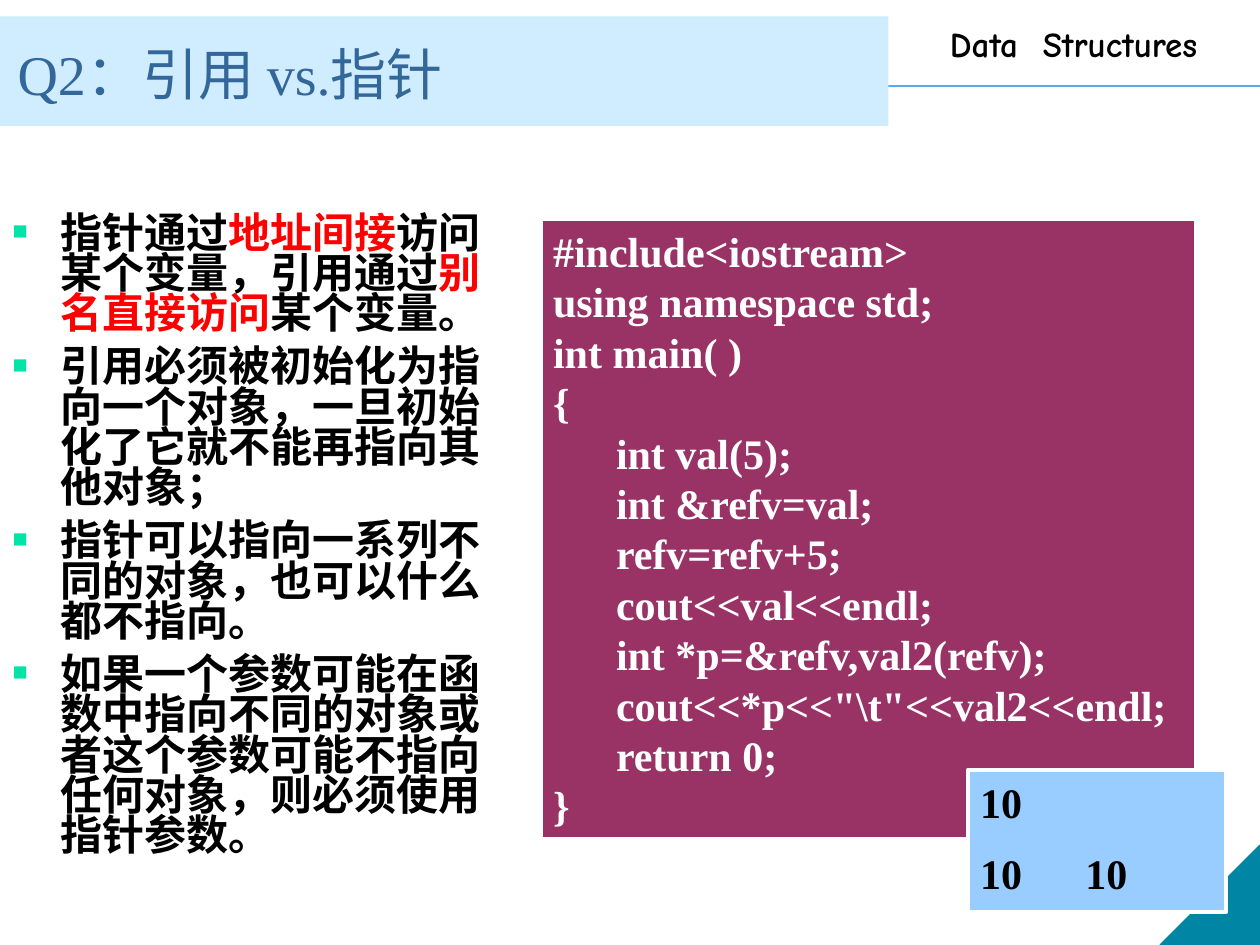
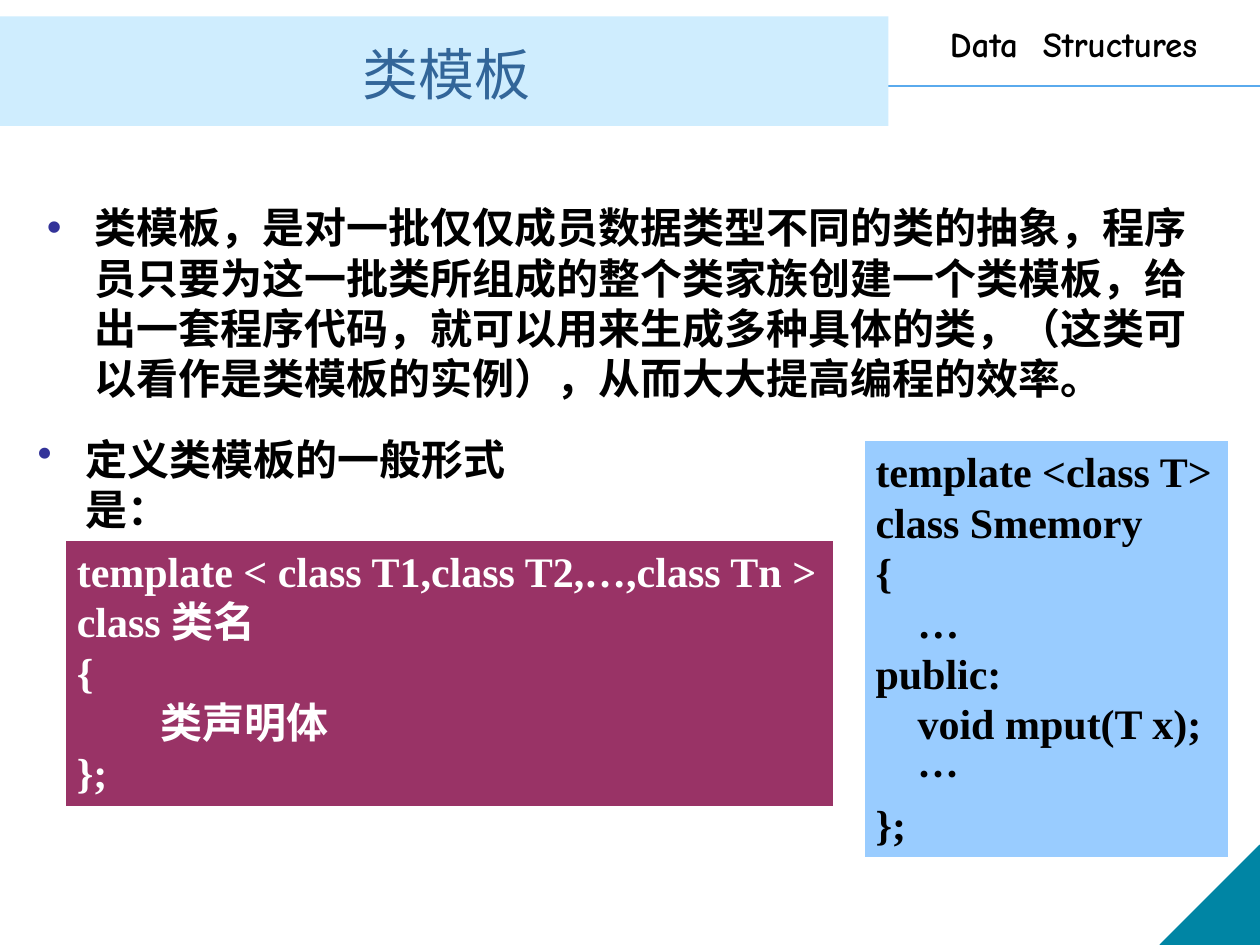
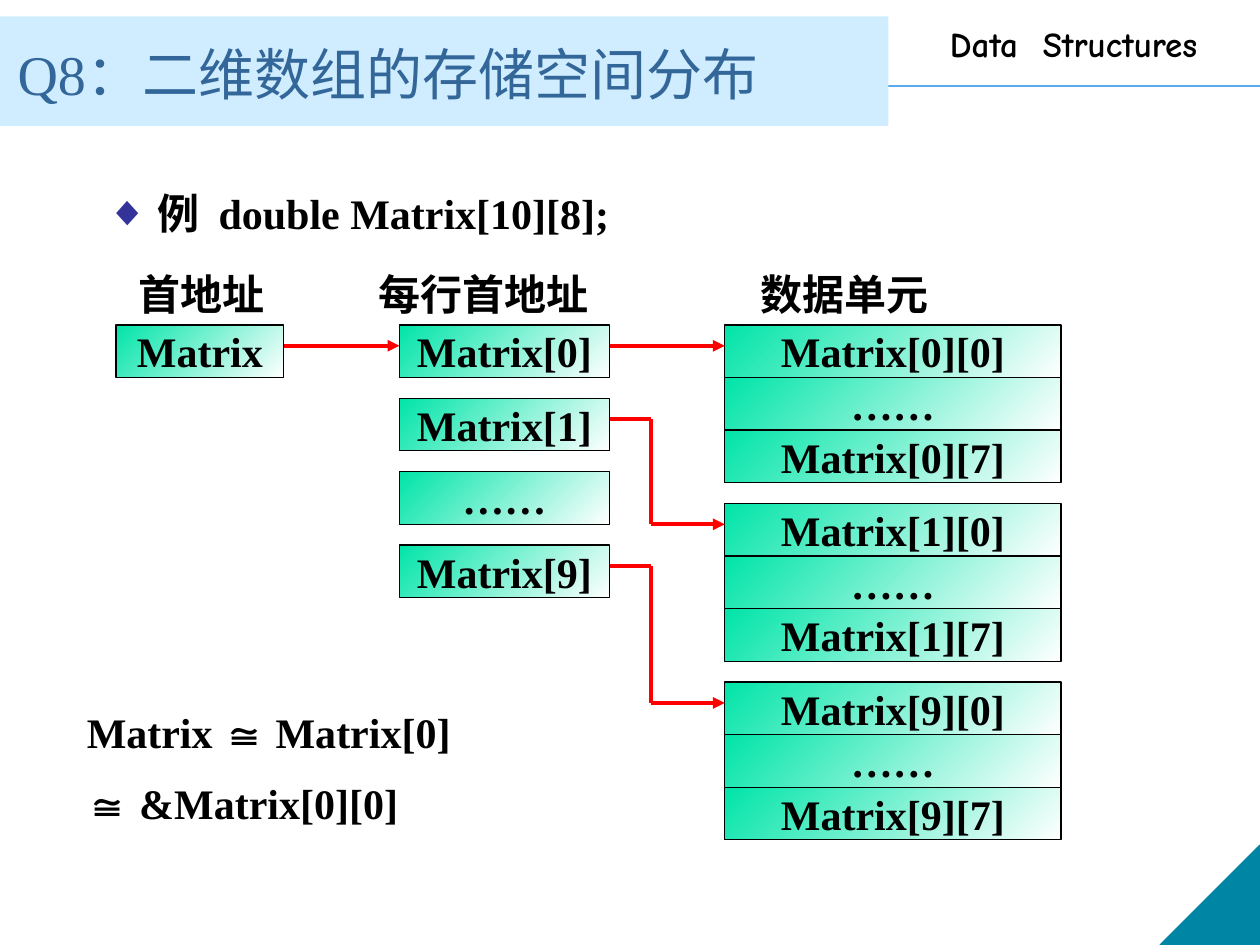
from lxml import etree
from pptx import Presentation
from pptx.dml.color import RGBColor
from pptx.enum.shapes import MSO_CONNECTOR, MSO_SHAPE
from pptx.enum.text import MSO_ANCHOR, MSO_AUTO_SIZE, PP_ALIGN
from pptx.oxml.ns import qn
from pptx.util import Cm, Pt

RECT, TRIANGLE = MSO_SHAPE.RECTANGLE, MSO_SHAPE.RIGHT_TRIANGLE
STRAIGHT = MSO_CONNECTOR.STRAIGHT
TOP, MIDDLE, BOTTOM = MSO_ANCHOR.TOP, MSO_ANCHOR.MIDDLE, MSO_ANCHOR.BOTTOM
LEFT, CENTER = PP_ALIGN.LEFT, PP_ALIGN.CENTER
FIXED = MSO_AUTO_SIZE.NONE

SERIF, SANS, HAND = "Times New Roman", "Karla", "Comic Neue"
BLACK, WHITE, RED = "000000", "FFFFFF", "FF0000"
GREEN, TEAL, NAVY = "00E4A8", "0085A4", "333399"
BAND, RULE, TITLE = "CFEDFE", "5AAAED", "336699"
PLUM, SKY = "993366", "99CCFF"

ALIAS_POINTS = [
    [("指针通过", BLACK), ("地址间接", RED), ("访问某个变量，引用通过", BLACK),
     ("别名直接访问", RED), ("某个变量。", BLACK)],
    "引用必须被初始化为指向一个对象，一旦初始化了它就不能再指向其他对象；",
    "指针可以指向一系列不同的对象，也可以什么都不指向。",
    "如果一个参数可能在函数中指向不同的对象或者这个参数可能不指向任何对象，"
    "则必须使用指针参数。",
]
ALIAS_CODE = r'''#include<iostream>
using namespace std;
int main( )
{
      int val(5);
      int &refv=val;
      refv=refv+5;
      cout<<val<<endl;
      int *p=&refv,val2(refv);
      cout<<*p<<"\t"<<val2<<endl;
      return 0;
}'''.split("\n")
TEMPLATE_POINT = (
    "类模板，是对一批仅仅成员数据类型不同的类的抽象，程序员只要为这一批类所组成的"
    "整个类家族创建一个类模板，给出一套程序代码，就可以用来生成多种具体的类，"
    "（这类可以看作是类模板的实例），从而大大提高编程的效率。"
)
TEMPLATE_FORM = '''template < class T1,class T2,…,class Tn >
class 类名
{
　　类声明体
};'''.split("\n")
TEMPLATE_SAMPLE = '''template <class T>
class Smemory
{
    …
public:
　void mput(T x);
　…
};'''.split("\n")


def rgb(value):
    return RGBColor.from_string(value)


def place(shape, box):
    shape.left, shape.top, shape.width, shape.height = map(Cm, box)


def add_bullet(p, char, color, percent, indent):
    pPr = p._p.get_or_add_pPr()
    pPr.set("marL", str(Cm(indent)))
    pPr.set("indent", str(-Cm(indent)))
    clr = etree.SubElement(pPr, qn("a:buClr"))
    etree.SubElement(clr, qn("a:srgbClr"), val=color)
    etree.SubElement(pPr, qn("a:buSzPct"), val=str(percent * 1000))
    etree.SubElement(pPr, qn("a:buChar"), char=char)


def add_tab(p, position):
    tabs = etree.SubElement(p._p.get_or_add_pPr(), qn("a:tabLst"))
    etree.SubElement(tabs, qn("a:tab"), pos=str(Cm(position)), algn="l")


def write(shape, lines, size=24, font=SERIF, color=BLACK, bold=True, align=LEFT,
          anchor=TOP, wrap=True, gap=0, spacing=1.0, bullet=None, tab=None):
    tf = shape.text_frame
    tf.auto_size, tf.word_wrap, tf.vertical_anchor = FIXED, wrap, anchor
    for i, line in enumerate(lines):
        p = tf.add_paragraph() if i else tf.paragraphs[0]
        if bullet:
            add_bullet(p, *bullet)
        if tab:
            add_tab(p, tab)
        p.alignment, p.line_spacing = align, spacing
        p.space_before = Pt(gap if i else 0)
        for text, run_color in [(line, color)] if isinstance(line, str) else line:
            r = p.add_run()
            r.text = text
            r.font.name, r.font.size, r.font.bold = font, Pt(size), bold
            r.font.color.rgb = rgb(run_color)


def add_box(s, box, fill, line=None, width=0.75, kind=RECT):
    sp = s.shapes.add_shape(kind, *map(Cm, box))
    sp.shadow.inherit = False
    sp.fill.solid()
    sp.fill.fore_color.rgb = rgb(fill)
    if line:
        sp.line.color.rgb = rgb(line)
        sp.line.width = Pt(width)
    else:
        sp.line.fill.background()
    return sp


def add_text(s, box, lines, **fmt):
    sp = s.shapes.add_textbox(*map(Cm, box))
    write(sp, lines, **fmt)
    return sp


def add_panel(s, box, lines, fill, **fmt):
    write(add_box(s, box, fill, WHITE, 2.25), lines, **fmt)


def add_line(s, start, end, color, width, arrow=False):
    cx = s.shapes.add_connector(STRAIGHT, *map(Cm, (*start, *end)))
    cx.line.color.rgb = rgb(color)
    cx.line.width = Pt(width)
    if arrow:
        etree.SubElement(cx.line._get_or_add_ln(), qn("a:tailEnd"), type="triangle")
    etree.SubElement(cx.element.spPr, qn("a:effectLst"))
    return cx


def build_layout(s):
    layout = s.slide_layout
    for ph in list(layout.placeholders):
        if ph.placeholder_format.idx >= 10:
            layout.shapes.element.remove(ph.element)
    rule = add_line(s, (0, 1.73), (25.4, 1.73), RULE, 1)
    corner = add_box(s, (23.39, 17.04, 2.01, 2.01), TEAL, TEAL, kind=TRIANGLE)
    corner.element.spPr.xfrm.set("flipH", "1")
    course = add_text(s, (18.9, 0.33, 6.5, 1.09), ["Data  Structures"], size=20, font=HAND)
    band = add_box(s, (0, 0.33, 17.91, 2.21), BAND)
    for shape in (rule, corner, course, band):
        layout.shapes.element.append(shape.element)


def add_slide(prs, title, body_box, points, align=LEFT, **fmt):
    s = prs.slides.add_slide(prs.slide_layouts[1])
    place(s.shapes.title, (0.1, 0.53, 17.81, 1.75))
    write(s.shapes.title, [title], size=32, color=TITLE, bold=False,
          align=align, anchor=BOTTOM)
    body = s.placeholders[1]
    place(body, body_box)
    write(body, points, **fmt)
    return s


def add_cell(s, box, text):
    sp = add_box(s, box, GREEN, BLACK)
    sp.fill.gradient()
    sp.fill.gradient_angle = 315
    for stop, position, color in zip(sp.fill.gradient_stops, (0, 1), (GREEN, WHITE)):
        stop.position = position
        stop.color.rgb = rgb(color)
    write(sp, [text], align=CENTER, anchor=MIDDLE, wrap=False)


def add_matrix_diagram(s, x, y):
    cell_h, row_step, block_step = 1.06, 1.48, 3.6
    base_w, rows_x, rows_w = 3.38, x + 5.71, 4.24
    data_x, data_w = x + 12.27, 6.78
    rows_end, bend_x, port_y = rows_x + rows_w, rows_x + rows_w + 0.84, y + 0.42

    for dx, width, label in ((0.2, 4, "首地址"), (5.05, 5, "每行首地址"), (12.75, 5, "数据单元")):
        add_text(s, (x + dx, y - 1.27, width, 1.27), [label])

    add_cell(s, (x, y, base_w, cell_h), "Matrix")
    add_line(s, (x + base_w, port_y), (rows_x, port_y), RED, 2.25, True)

    for i, name in enumerate(("Matrix[0]", "Matrix[1]", "……", "Matrix[9]")):
        add_cell(s, (rows_x, y + i * row_step, rows_w, cell_h), name)

    for block, (row, index) in enumerate(((0, 0), (1, 1), (3, 9))):
        top = y + block * block_step
        for i, name in enumerate((f"Matrix[{index}][0]", "……", f"Matrix[{index}][7]")):
            add_cell(s, (data_x, top + i * cell_h, data_w, cell_h), name)
        from_y, to_y = port_y + row * row_step, port_y + block * block_step
        points = [(rows_end, from_y), (data_x, to_y)]
        if from_y != to_y:
            points[1:1] = [(bend_x, from_y), (bend_x, to_y)]
        for start, end in zip(points, points[1:]):
            add_line(s, start, end, RED, 2.25, end == points[-1])


def reference_slide(prs):
    s = add_slide(prs, "Q2：引用 vs.指针", (0, 3.94, 10.21, 13.79), ALIAS_POINTS,
                  font=SANS, anchor=MIDDLE, gap=7.2, spacing=0.8,
                  bullet=("■", GREEN, 60, 0.96))
    add_panel(s, (10.9, 4.42, 13.21, 12.5), ALIAS_CODE, PLUM, color=WHITE)
    add_panel(s, (19.51, 15.52, 5.21, 2.87), ["10", "10\t10"], SKY, gap=12, tab=2.12)
    return s


def template_slide(prs):
    bullet = ("•", NAVY, 100, 0.96)
    s = add_slide(prs, "类模板", (0.69, 3.94, 24, 4.6), [TEMPLATE_POINT],
                  align=CENTER, bullet=bullet)
    add_text(s, (0.51, 8.7, 10.4, 2.1), ["定义类模板的一般形式是："],
             anchor=MIDDLE, bullet=bullet)
    add_panel(s, (1.3, 10.87, 15.54, 5.41), TEMPLATE_FORM, PLUM, color=WHITE)
    add_panel(s, (17.4, 8.86, 7.39, 8.46), TEMPLATE_SAMPLE, SKY)


def matrix_slide(prs):
    s = add_slide(prs, "Q8：二维数组的存储空间分布", (1.9, 3.66, 22.66, 1.27),
                  ["例  double Matrix[10][8];"], bullet=("◆", NAVY, 100, 1.02))
    add_matrix_diagram(s, 2.34, 6.55)
    add_text(s, (1.5, 14.12, 9.73, 2.79), ["Matrix ≅ Matrix[0]", "≅ &Matrix[0][0]"], gap=12)


def main():
    prs = Presentation()
    prs.slide_width, prs.slide_height = Cm(25.4), Cm(19.05)
    build_layout(reference_slide(prs))
    template_slide(prs)
    matrix_slide(prs)
    prs.save("out.pptx")


if __name__ == "__main__":
    main()
